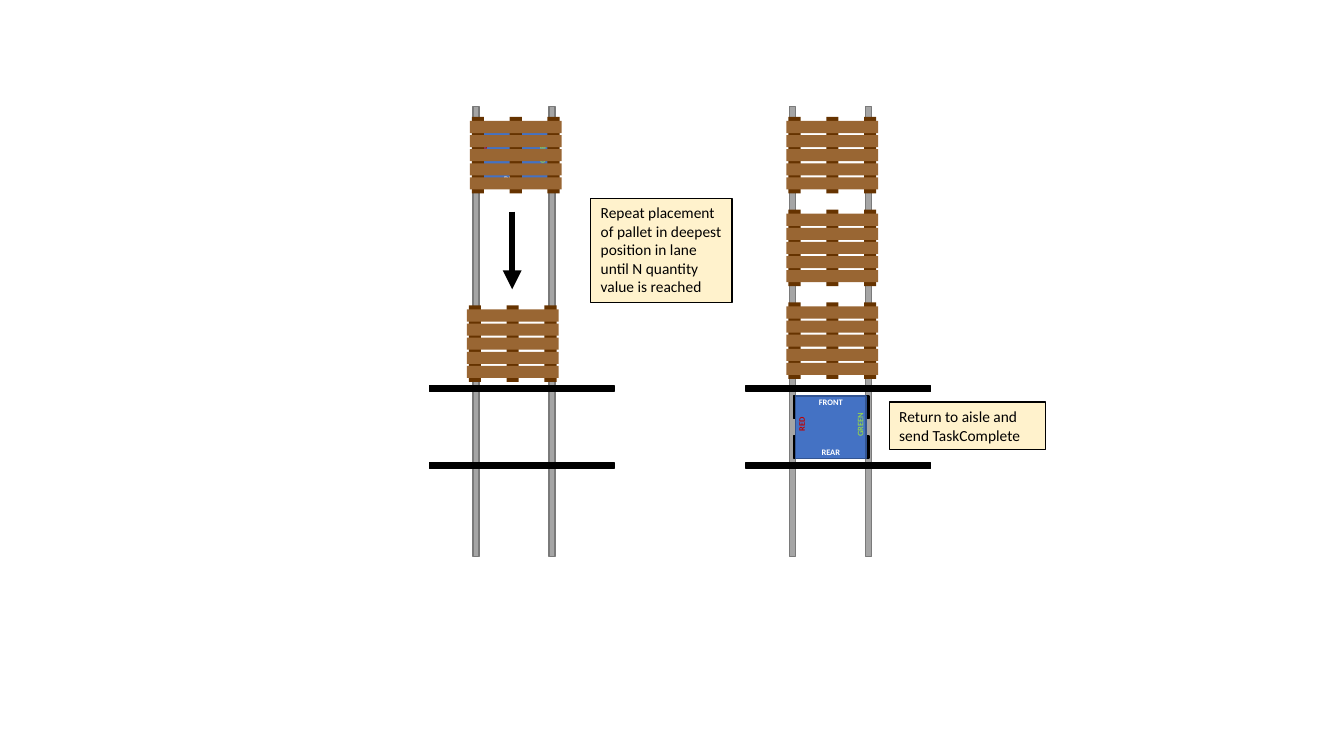
from pptx import Presentation, util as u
from pptx.dml.color import RGBColor
from pptx.enum import shapes, text
from pptx.oxml.ns import qn
from lxml import etree

prs = Presentation()
prs.slide_width, prs.slide_height = u.Inches(13.33), u.Inches(7.5)
s = prs.slides.add_slide(prs.slide_layouts[6])


def box(parent, x, y, w, h, fill, line=None):
    sp = parent.shapes.add_shape(shapes.MSO_SHAPE.RECTANGLE,
                                 *[u.Inches(v) for v in (x, y, w, h)])
    sp.shadow.inherit = False
    sp.fill.solid()
    sp.fill.fore_color.rgb = RGBColor.from_string(fill)
    if line:
        sp.line.color.rgb = RGBColor.from_string(line)
        sp.line.width = u.Pt(1)
    else:
        sp.line.fill.background()
    return sp


def write(sp, words, size, color, bold=False, align=text.PP_ALIGN.LEFT):
    p = sp.text_frame.paragraphs[0]
    p.text, p.alignment = words, align
    p.font.name, p.font.size, p.font.bold = "Calibri", u.Pt(size), bold
    p.font.color.rgb = RGBColor.from_string(color)


# Each lane: left rail x, cart corner, wheel offsets, pallet corners
lanes = [
    (4.69, (4.74, 1.22), [0.68], [(4.66, 1.16), (4.63, 3.03)]),
    (7.83, (7.89, 3.93), [0.68, -0.02], [(7.8, 1.16), (7.8, 2.08), (7.8, 3.0)]),
]
cart_labels = [
    ("FRONT", 0.13, -0.04, 0, "FFFFFF"),
    ("REAR", 0.13, 0.455, 0, "FFFFFF"),
    ("GREEN", 0.42, 0.185, 270, "92D050"),
    ("RED", -0.16, 0.18, 270, "C00000"),
]

for lane_x, (cart_x, cart_y), wheels, pallets in lanes:
    # Rails
    rails = s.shapes.add_group_shape()
    for i in range(2):
        box(rails, lane_x + 0.755 * i, 1.06, 0.06, 4.46, "A5A5A5", "7A7A7A")

    # Aisle edges
    aisle = s.shapes.add_group_shape()
    for i in range(2):
        box(aisle, lane_x - 0.43, 3.825 + 0.765 * i, 1.83, 0.06, "000000", "000000")

    # Cart
    cart = s.shapes.add_group_shape()
    for dx in wheels:
        for i in range(2):
            box(cart, cart_x + dx, cart_y + 0.395 * i, 0.05, 0.22, "000000", "000000")
    box(cart, cart_x, cart_y, 0.7, 0.62, "4472C4", "325491")
    for words, dx, dy, turn, color in cart_labels:
        sp = cart.shapes.add_textbox(u.Inches(cart_x + dx), u.Inches(cart_y + dy),
                                     u.Inches(0.44), u.Inches(0.2))
        sp.rotation = turn
        sp.text_frame.word_wrap = False
        write(sp, words, 6, color, True, text.PP_ALIGN.CENTER)

    # Pallets: three runners under five boards
    for x, y in pallets:
        pallet = s.shapes.add_group_shape()
        for i in range(3):
            box(pallet, x + 0.02 + 0.375 * i, y, 0.12, 0.76, "663300")
        for i in range(5):
            box(pallet, x, y + 0.04 + 0.14 * i, 0.91, 0.12, "996633")

# Notes
for x, y, w, h, words in [
    (5.86, 1.97, 1.4, 1.03,
     "Repeat placement of pallet in deepest position in lane until N quantity value is reached"),
    (8.82, 3.99, 1.55, 0.47, "Return to aisle and send TaskComplete"),
]:
    sp = box(s, x, y, w, h, "FFF2CC", "000000")
    sp.text_frame.word_wrap = True
    sp.text_frame.vertical_anchor = text.MSO_ANCHOR.TOP
    write(sp, words, 11, "000000")

# Travel arrow
arrow = s.shapes.add_connector(shapes.MSO_CONNECTOR.STRAIGHT, u.Inches(5.08),
                               u.Inches(2.1), u.Inches(5.08), u.Inches(2.87))
arrow.line.color.rgb = RGBColor.from_string("000000")
arrow.line.width = u.Pt(4.5)
etree.SubElement(arrow.line._get_or_add_ln(), qn("a:tailEnd"), type="triangle")
etree.SubElement(arrow._element.spPr, qn("a:effectLst"))

prs.save("out.pptx")
